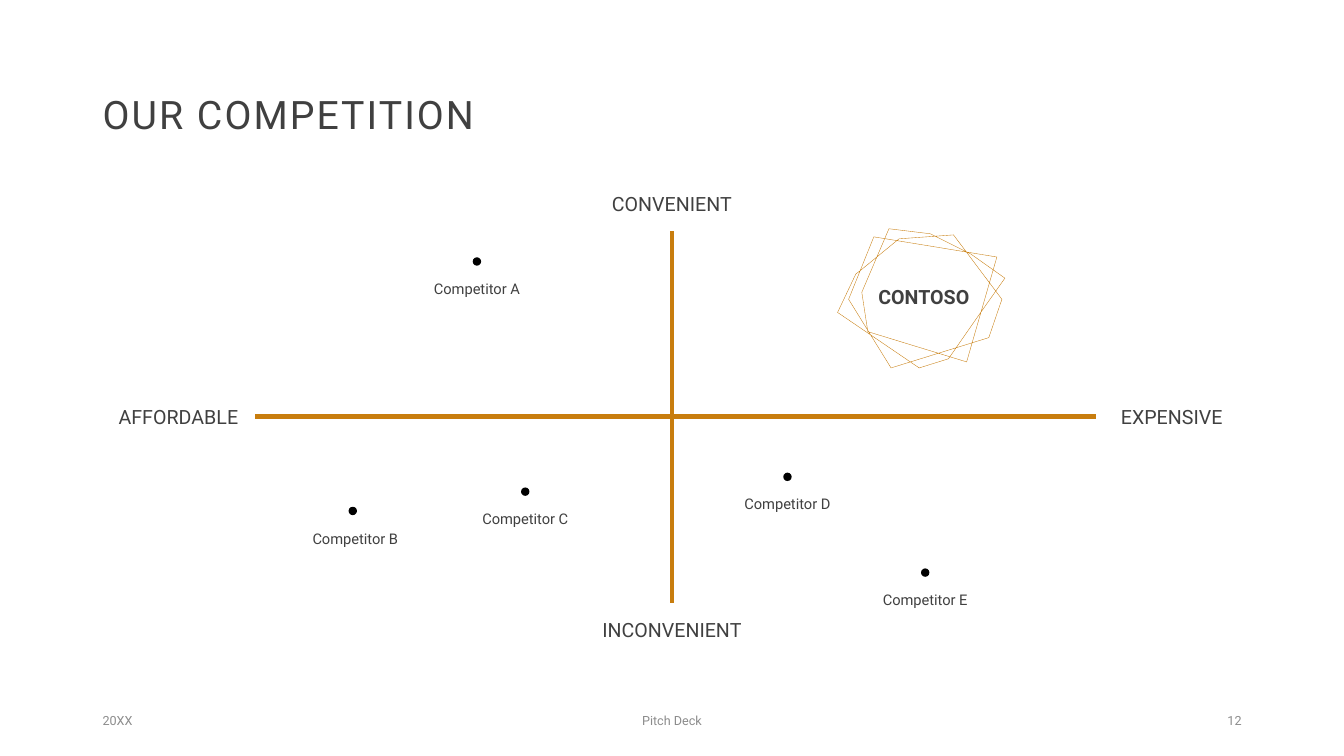
from lxml.etree import SubElement
from pptx import Presentation
from pptx.dml.color import RGBColor
from pptx.enum.shapes import MSO_CONNECTOR, MSO_SHAPE
from pptx.enum.text import MSO_ANCHOR, PP_ALIGN
from pptx.oxml.ns import qn
from pptx.util import Pt

FONT = "Roboto"
GOLD = RGBColor(0xC8, 0x7D, 0x0E)
DARK = RGBColor(0x40, 0x40, 0x40)
GRAY = RGBColor(0x8C, 0x8C, 0x8C)
BLACK = RGBColor(0, 0, 0)

WIDTH, HEIGHT = 960, 540
MID_X, MID_Y = WIDTH / 2, 297.4
LABEL_H = 38.9
DOT = 6

# name, dot centre x and y, sideways shift of the label
RIVALS = [
    ("Competitor A", 340.7, 186.8, 0),
    ("Competitor B", 252, 365, 1.8),
    ("Competitor C", 375.2, 351.2, 0),
    ("Competitor D", 562.5, 340.6, 0),
    ("Competitor E", 660.9, 409, 0),
]

# text, centre x and y, width
AXIS_ENDS = [
    ("CONVENIENT", MID_X, 145.4, 134.6),
    ("INCONVENIENT", MID_X, 450, 134.6),
    ("AFFORDABLE", 127.5, MID_Y, 109.4),
    ("EXPENSIVE", 837, MID_Y, 108.7),
]

FOOTER = [
    ("20XX", 66.2, 216, PP_ALIGN.LEFT),
    ("Pitch Deck", 318, 324, PP_ALIGN.CENTER),
    ("12", 678, 216, PP_ALIGN.RIGHT),
]

BADGE = [
    (642.2, 170.6), (614.9, 193), (611.3, 195.8), (598.3, 223.2),
    (656.6, 262.8), (677.5, 256.3), (697, 228.2), (717.8, 198.7),
    (693.4, 181.4), (664.6, 167), (635, 163.4), (615.6, 208.8),
    (619.9, 236.9), (690.5, 258.5), (712.1, 183.6), (624.2, 169.2),
    (606.2, 213.8), (636.5, 262.8), (706.3, 241.2), (715.7, 213.8),
    (681.1, 167.8),
]


def add_text(slide, text, left, top, width, height, size,
             color=DARK, align=PP_ALIGN.CENTER, bold=False):
    box = slide.shapes.add_textbox(Pt(left), Pt(top), Pt(width), Pt(height))
    frame = box.text_frame
    frame.word_wrap = True
    frame.vertical_anchor = MSO_ANCHOR.MIDDLE
    para = frame.paragraphs[0]
    para.alignment = align
    run = para.add_run()
    run.text = text
    font = run.font
    font.name, font.size, font.bold = FONT, Pt(size), bold
    font.color.rgb = color
    return run


def add_title(slide, text):
    run = add_text(slide, text, 66.2, 28.8, 828, 104.4, 28,
                   align=PP_ALIGN.LEFT)
    run._r.get_or_add_rPr().set("spc", "150")


def add_axis(slide, x1, y1, x2, y2):
    axis = slide.shapes.add_connector(
        MSO_CONNECTOR.STRAIGHT, Pt(x1), Pt(y1), Pt(x2), Pt(y2))
    axis.line.color.rgb = GOLD
    axis.line.width = Pt(3.5)
    SubElement(axis._element.spPr, qn("a:effectLst"))


def add_rival(slide, name, x, y, shift):
    """Draw a dot centred on (x, y) with its name below."""
    width = 92.9
    add_text(slide, name, x + shift - width / 2, y, width, LABEL_H, 10.5)
    dot = slide.shapes.add_shape(
        MSO_SHAPE.OVAL, Pt(x - DOT / 2), Pt(y - DOT / 2), Pt(DOT), Pt(DOT))
    dot.shadow.inherit = False
    dot.fill.solid()
    dot.fill.fore_color.rgb = BLACK
    dot.line.fill.background()


def add_badge(slide, text):
    """Draw the name inside a tangle of thin lines."""
    add_text(slide, text, 592.6, 170.6, 134.6, 82.8, 14, bold=True)
    start, *rest = [(Pt(x), Pt(y)) for x, y in BADGE]
    path = slide.shapes.build_freeform(*start)
    path.add_line_segments(rest, close=True)
    frame = path.convert_to_shape()
    frame.shadow.inherit = False
    frame.fill.background()
    frame.line.color.rgb = GOLD
    frame.line.width = Pt(0.25)


def main():
    deck = Presentation()
    deck.slide_width, deck.slide_height = Pt(WIDTH), Pt(HEIGHT)
    slide = deck.slides.add_slide(deck.slide_layouts[6])

    add_axis(slide, 182.2, MID_Y, 782.6, MID_Y)
    add_axis(slide, MID_X, 430.6, MID_X, 164.9)
    add_title(slide, "OUR COMPETITION")
    for text, x, y, width in AXIS_ENDS:
        add_text(slide, text, x - width / 2, y - LABEL_H / 2,
                 width, LABEL_H, 14)
    for rival in RIVALS:
        add_rival(slide, *rival)
    add_badge(slide, "CONTOSO")
    for text, left, width, align in FOOTER:
        add_text(slide, text, left, 500.4, width, 28.8, 9, GRAY, align)

    deck.save("out.pptx")


if __name__ == "__main__":
    main()
